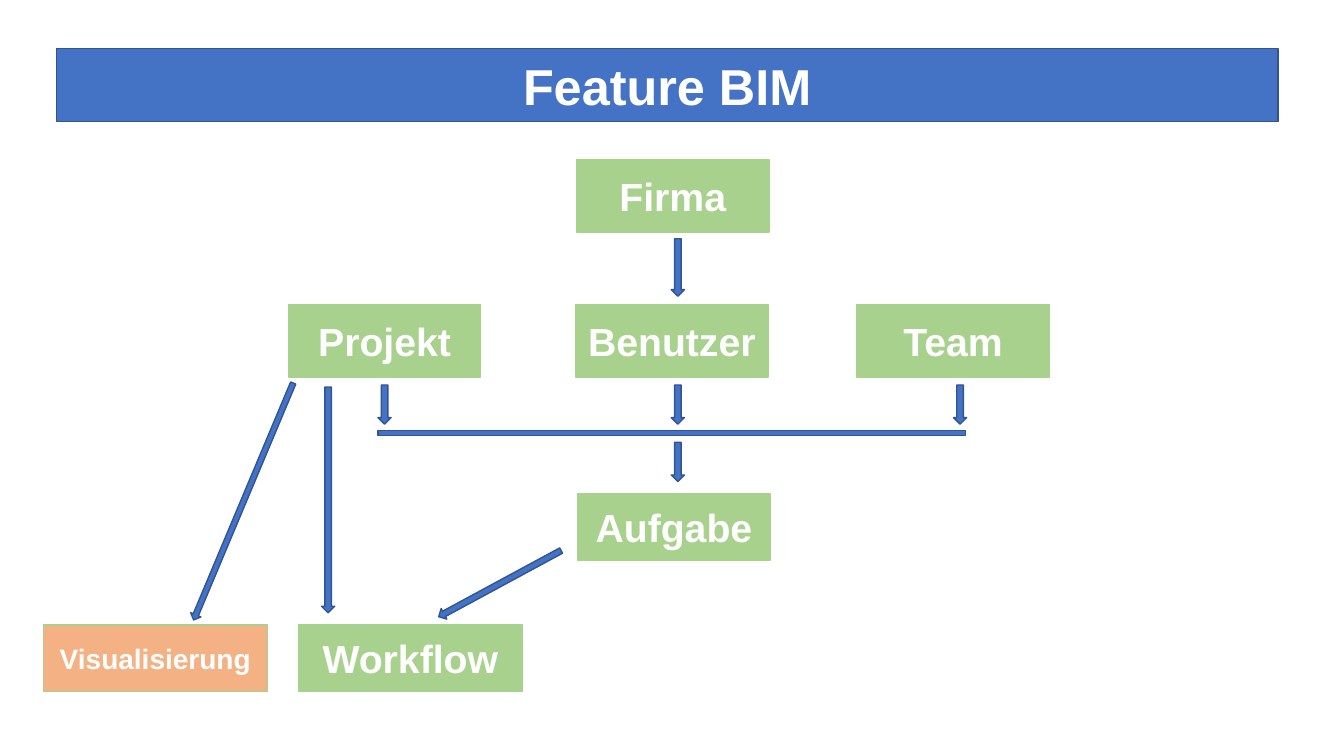
from dataclasses import dataclass

from pptx import Presentation
from pptx.dml.color import RGBColor
from pptx.enum.shapes import MSO_SHAPE
from pptx.enum.text import MSO_ANCHOR, MSO_AUTO_SIZE, PP_ALIGN
from pptx.util import Pt

RECT, DOWN_ARROW = MSO_SHAPE.RECTANGLE, MSO_SHAPE.DOWN_ARROW
MIDDLE, CENTER, NO_FIT = MSO_ANCHOR.MIDDLE, PP_ALIGN.CENTER, MSO_AUTO_SIZE.NONE
BLUE, NAVY, GREEN, ORANGE, WHITE = "4472C4", "325491", "A9D18E", "F4B183", "FFFFFF"
TITLE_ONLY = 5


@dataclass
class Box:
    text: str
    left: float
    top: float
    width: float = 137.5
    height: float = 52
    fill: str = GREEN
    size: float = 28


@dataclass
class Arrow:
    center: float
    top: float
    height: float
    width: float = 9.4
    rotation: float = 0


# Rows and columns of the diagram, in points
ROW_2, ROW_3, ROW_4 = 217.4, 352.8, 446.4
MID, PROJECT, TEAM = 484.2, 274.7, 685.8
LOW = 47.5

BOXES = [
    Box("Firma", 411.8, 113.8),
    Box("Projekt", 205.9, ROW_2),
    Box("Benutzer", 411.1, ROW_2),
    Box("Team", 612, ROW_2),
    Box("Aufgabe", 412.6, ROW_3, height=LOW),
    Box("Workflow", 213.1, ROW_4, 160, LOW),
    Box("Visualisierung", 31, ROW_4, 160, LOW, ORANGE, 20),
]
ARROWS = [
    Arrow(MID, 170.6, 41),
    *(Arrow(x, 275, 28) for x in (PROJECT, MID, TEAM)),
    Arrow(MID, 316, 28),
    Arrow(234.4, 276.5, 161.3),
    Arrow(357.1, 367.2, 99.4, 8.6, 61.6),
    Arrow(173.9, 266.4, 183.6, 7.9, 22.8),
]


def color(value: str) -> RGBColor:
    return RGBColor.from_string(value)


def paint(sp, fill: str, line: str) -> None:
    sp.fill.solid()
    sp.fill.fore_color.rgb = color(fill)
    sp.line.color.rgb = color(line)
    sp.line.width = Pt(1)


def write(sp, text: str, size: float) -> None:
    tf = sp.text_frame
    for name, value in {"word_wrap": True, "auto_size": NO_FIT,
                        "vertical_anchor": MIDDLE}.items():
        setattr(tf, name, value)
    p = tf.paragraphs[0]
    p.alignment = CENTER
    r = p.add_run()
    r.text = text
    for name, value in {"name": "Arial", "size": Pt(size), "bold": True}.items():
        setattr(r.font, name, value)
    r.font.color.rgb = color(WHITE)


def add_shape(s, kind, left: float, top: float, width: float, height: float,
              fill: str = BLUE, line: str = NAVY):
    sp = s.shapes.add_shape(kind, Pt(left), Pt(top), Pt(width), Pt(height))
    sp.shadow.inherit = False
    paint(sp, fill, line)
    return sp


def add_box(s, box: Box) -> None:
    sp = add_shape(s, RECT, box.left, box.top, box.width, box.height, box.fill, GREEN)
    write(sp, box.text, box.size)


def add_arrow(s, arrow: Arrow) -> None:
    sp = add_shape(s, DOWN_ARROW, arrow.center - arrow.width / 2, arrow.top,
                   arrow.width, arrow.height)
    sp.rotation = arrow.rotation


prs = Presentation()
prs.slide_width, prs.slide_height = Pt(960), Pt(540)
s = prs.slides.add_slide(prs.slide_layouts[TITLE_ONLY])

# Title banner
title = s.shapes.title
for name, value in {"left": 40.3, "top": 34.6, "width": 872.6, "height": 52}.items():
    setattr(title, name, Pt(value))
paint(title, BLUE, NAVY)
write(title, "Feature BIM", 36)

# Boxes, arrows and the bar that joins the second row
for box in BOXES:
    add_box(s, box)
for arrow in ARROWS:
    add_arrow(s, arrow)
add_shape(s, RECT, 270, 307.4, 419.8, 3.6)

prs.save("out.pptx")
